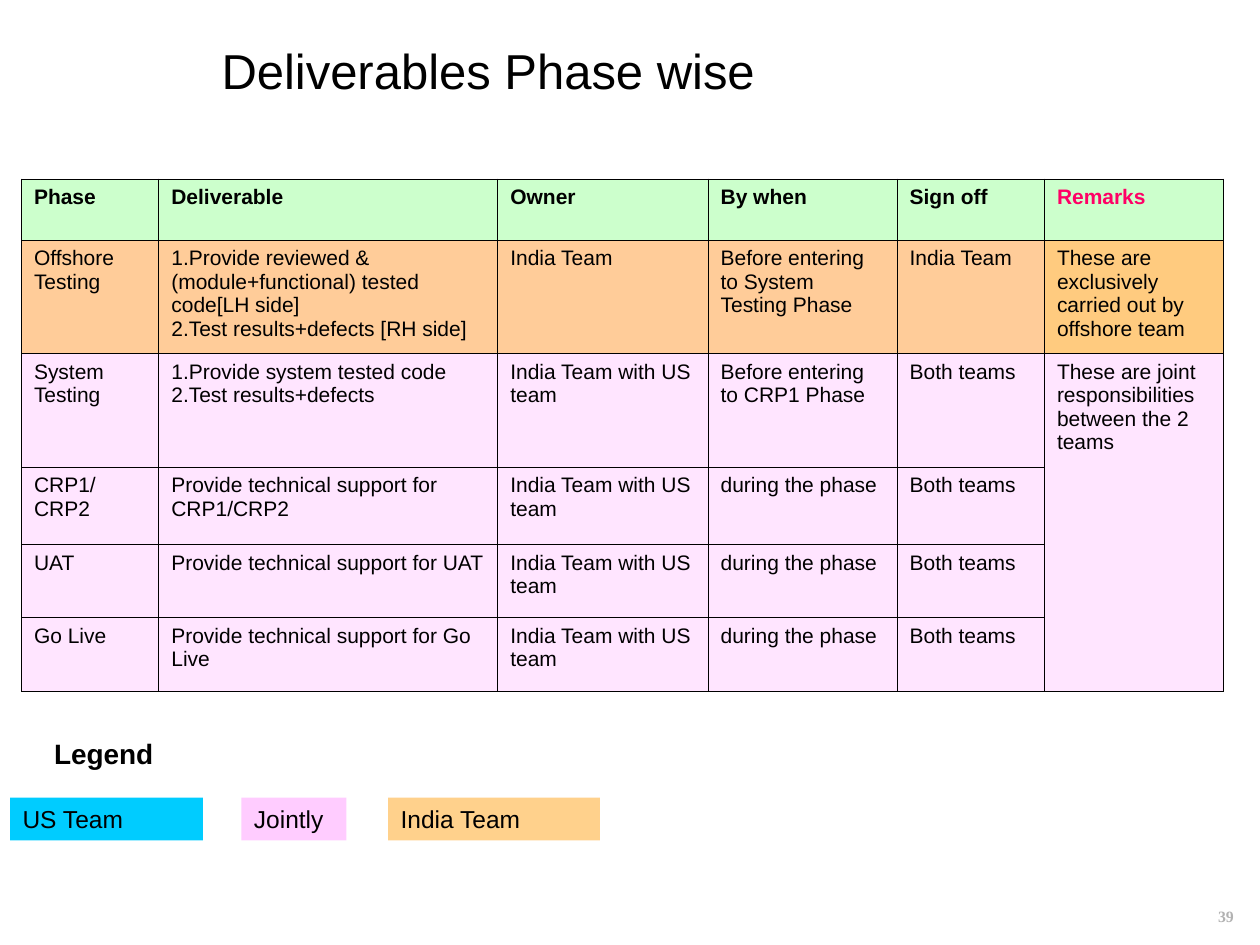
"""Build the slide that lists deliverables, owners and sign-off for each test phase."""
from dataclasses import dataclass
from typing import NamedTuple

import lxml.etree
import pptx
import pptx.dml.color
import pptx.enum.shapes
import pptx.enum.text
import pptx.oxml
import pptx.oxml.ns
import pptx.util

Pt = pptx.util.Pt
Align = pptx.enum.text.PP_ALIGN
Anchor = pptx.enum.text.MSO_ANCHOR


class Paint(NamedTuple):
    color: str
    opacity: int = 100


class TextStyle(NamedTuple):
    size: float
    color: str = "000000"
    bold: bool = False
    font: str = "Arial"


class Frame(NamedTuple):
    left: float
    top: float
    width: float
    height: float


@dataclass(frozen=True)
class Theme:
    title: TextStyle = TextStyle(28)
    heading: TextStyle = TextStyle(12, bold=True)
    remarks_heading: TextStyle = TextStyle(12, "FF0066", True)
    body: TextStyle = TextStyle(12)
    legend_title: TextStyle = TextStyle(16, bold=True)
    legend: TextStyle = TextStyle(14)
    page_number: TextStyle = TextStyle(9, "B2B2B2", True, "Times New Roman")
    header_fill: Paint = Paint("CCFFCC")
    offshore_fill: Paint = Paint("FFCC99")
    offshore_remark_fill: Paint = Paint("FF9900", 50)
    joint_fill: Paint = Paint("FFCCFF", 50)
    us_key: Paint = Paint("00CCFF")
    joint_key: Paint = Paint("FFCCFF")
    india_key: Paint = Paint("FF9900", 45)
    border_color: str = "000000"
    border_width: float = 0.45


@dataclass(frozen=True)
class Label:
    text: str
    frame: Frame
    style: TextStyle
    fill: Paint | None = None
    align: Align = Align.LEFT
    anchor: Anchor = Anchor.TOP


@dataclass(frozen=True)
class PhaseRow:
    height: float
    fill: Paint
    texts: tuple[str, ...]


THEME = Theme()
TABLE_LEFT, TABLE_TOP = 12.24, 102.24
COLUMN_WIDTHS = (78.5, 193.7, 120.2, 108, 84.2, 102.2)
JOINT_OWNER = "India Team with US team"
REMARKS_COLUMN, OFFSHORE_ROW, FIRST_JOINT_ROW = 5, 1, 2

ROWS = (
    PhaseRow(35.1, THEME.header_fill,
             ("Phase", "Deliverable", "Owner", "By when", "Sign off", "Remarks")),
    PhaseRow(64.8, THEME.offshore_fill,
             ("Offshore Testing",
              "1.Provide reviewed & (module+functional) tested code[LH side]\n"
              "2.Test results+defects [RH side]",
              "India Team", "Before entering to System Testing Phase", "India Team",
              "These are exclusively carried out by offshore team")),
    PhaseRow(64.8, THEME.joint_fill,
             ("System Testing", "1.Provide system tested code\n2.Test results+defects",
              JOINT_OWNER, "Before entering to CRP1 Phase", "Both teams",
              "These are joint responsibilities between the 2 teams")),
) + tuple(
    PhaseRow(height, THEME.joint_fill,
             (phase, f"Provide technical support for {supported}",
              JOINT_OWNER, "during the phase", "Both teams", ""))
    for height, phase, supported in (
        (44.3, "CRP1/ CRP2", "CRP1/CRP2"), (41.8, "UAT", "UAT"), (41.8, "Go Live", "Go Live"))
)

KEY_TOP, KEY_HEIGHT = 455.8, 24.4
LABELS = (
    Label("Deliverables Phase wise", Frame(119.5, 18, 540.7, 43.9), THEME.title,
          anchor=Anchor.MIDDLE),
    Label("Legend", Frame(23.8, 417.6, 156.2, 26.6), THEME.legend_title),
    Label("US Team", Frame(5.8, KEY_TOP, 110.2, KEY_HEIGHT), THEME.legend, THEME.us_key),
    Label("India Team", Frame(221.8, KEY_TOP, 121, KEY_HEIGHT), THEME.legend, THEME.india_key),
    Label("Jointly", Frame(138, KEY_TOP, 60, KEY_HEIGHT), THEME.legend, THEME.joint_key),
    Label("39", Frame(544.3, 514.8, 167.8, 15.8), THEME.page_number, align=Align.RIGHT),
)


def apply_fill(fill, paint: Paint) -> None:
    """Set a solid fill, with its opacity."""
    fill.solid()
    fill.fore_color.rgb = pptx.dml.color.RGBColor.from_string(paint.color)
    if paint.opacity < 100:
        color = fill._xPr.find(".//" + pptx.oxml.ns.qn("a:srgbClr"))
        alpha = lxml.etree.SubElement(color, pptx.oxml.ns.qn("a:alpha"))
        alpha.set("val", str(paint.opacity * 1000))


def write_text(para, text: str, style: TextStyle) -> None:
    """Write a paragraph and format its runs."""
    para.text = text
    for span in para.runs:
        span.font.size = Pt(style.size)
        span.font.name = style.font
        span.font.bold = style.bold
        span.font.color.rgb = pptx.dml.color.RGBColor.from_string(style.color)


def draw_borders(cell) -> None:
    """Put a thin line on each side of a cell."""
    properties = cell._tc.get_or_add_tcPr()
    for position, side in enumerate(("lnL", "lnR", "lnT", "lnB")):
        line = pptx.oxml.parse_xml(
            f'<a:{side} {pptx.oxml.ns.nsdecls("a")} w="{Pt(THEME.border_width)}">'
            f'<a:solidFill><a:srgbClr val="{THEME.border_color}"/></a:solidFill></a:{side}>')
        properties.insert(position, line)


def draw_phase_table(page) -> None:
    """Draw the table of phases and their deliverables."""
    table = page.shapes.add_table(
        len(ROWS), len(COLUMN_WIDTHS), Pt(TABLE_LEFT), Pt(TABLE_TOP),
        Pt(sum(COLUMN_WIDTHS)), Pt(sum(row.height for row in ROWS))).table
    table.first_row = table.horz_banding = False
    for column, width in zip(table.columns, COLUMN_WIDTHS):
        column.width = Pt(width)
    for row_index, row in enumerate(ROWS):
        table.rows[row_index].height = Pt(row.height)
        for column_index, text in enumerate(row.texts):
            cell = table.cell(row_index, column_index)
            is_remark = column_index == REMARKS_COLUMN
            fill, style = row.fill, THEME.body
            if row_index == 0:
                style = THEME.remarks_heading if is_remark else THEME.heading
            elif row_index == OFFSHORE_ROW and is_remark:
                fill = THEME.offshore_remark_fill
            write_text(cell.text_frame.paragraphs[0], text, style)
            apply_fill(cell.fill, fill)
            draw_borders(cell)
    table.cell(FIRST_JOINT_ROW, REMARKS_COLUMN).merge(
        table.cell(len(ROWS) - 1, REMARKS_COLUMN))


def draw_label(page, label: Label) -> None:
    """Draw a text box, or a filled rectangle when the label has a fill."""
    place = [Pt(length) for length in label.frame]
    if label.fill:
        box = page.shapes.add_shape(pptx.enum.shapes.MSO_SHAPE.RECTANGLE, *place)
        box.shadow.inherit = False
        box.line.fill.background()
        apply_fill(box.fill, label.fill)
    else:
        box = page.shapes.add_textbox(*place)
    box.text_frame.word_wrap = True
    box.text_frame.vertical_anchor = label.anchor
    para = box.text_frame.paragraphs[0]
    write_text(para, label.text, label.style)
    para.alignment = label.align


def main() -> None:
    """Build and save the deck."""
    deck = pptx.Presentation()
    deck.slide_width, deck.slide_height = Pt(720), Pt(540)
    page = deck.slides.add_slide(deck.slide_layouts[6])
    draw_phase_table(page)
    for label in LABELS:
        draw_label(page, label)
    deck.save("out.pptx")


if __name__ == "__main__":
    main()
